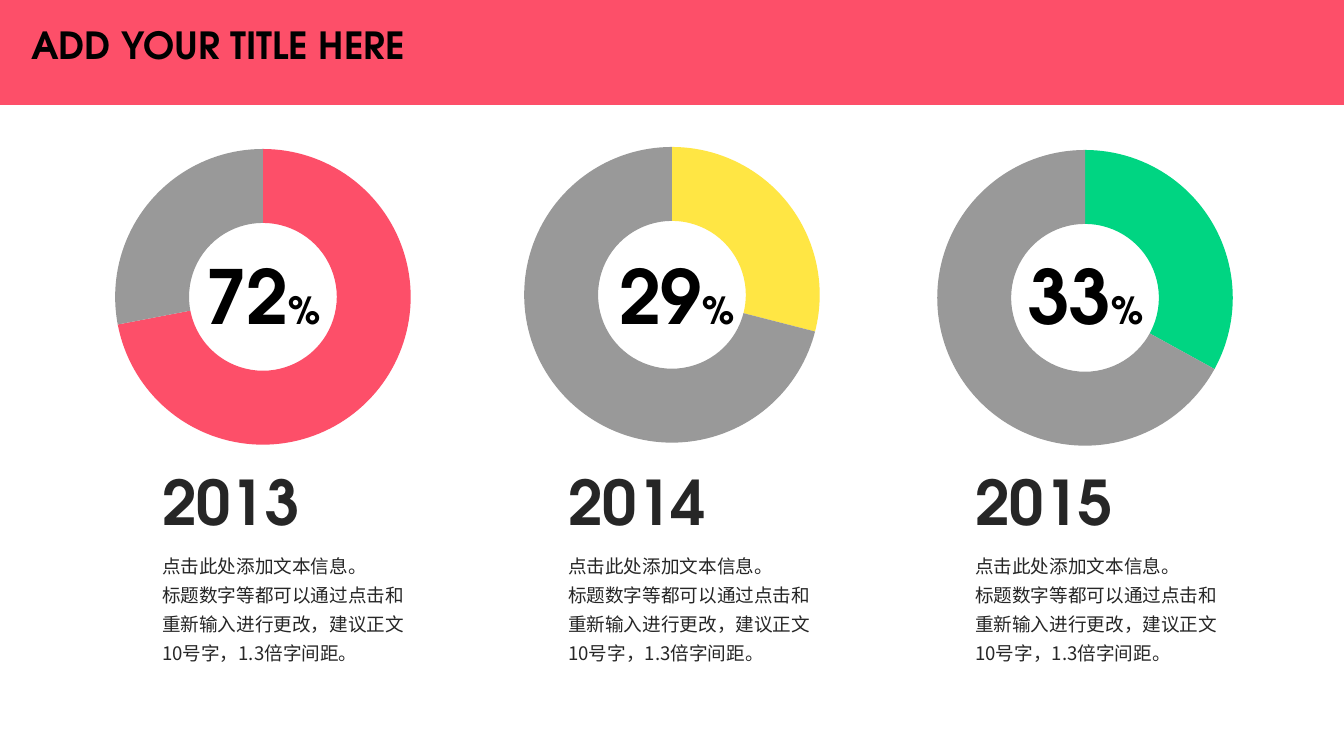
"""Builds a slide with three yearly doughnut charts under a title band."""
from lxml.etree import SubElement
from pptx import Presentation
from pptx.chart.data import CategoryChartData as ChartData
from pptx.dml.color import RGBColor as RGB
from pptx.enum.chart import XL_CHART_TYPE as CT
from pptx.enum.shapes import MSO_SHAPE as SHAPE
from pptx.enum.text import MSO_AUTO_SIZE as FIT, PP_ALIGN as AL
from pptx.oxml.ns import qn
from pptx.util import Emu, Pt

PX = 9144
COLORS = {"red": "FD4F69", "yellow": "FFE644", "green": "00D582",
          "gray": "999999", "black": "000000", "dark": "262626"}
HEAD, BODY = "TeX Gyre Adventor", "Noto Sans CJK SC"
NOTE = ["点击此处添加文本信息。",
        "标题数字等都可以通过点击和重新输入进行更改，建议正文10号字，1.3倍字间距。"]
YEARS = [("2013", 72, "red", (20, 134), 184, 151),
         ("2014", 29, "yellow", (426, 132), 595, 554),
         ("2015", 33, "green", (836, 135), 1001, 958)]


def color(name):
    return RGB.from_string(COLORS[name])


def add_run(p, text, size=13.3, font=HEAD, fill="black", bold=False):
    r = p.add_run()
    r.text = text
    f = r.font
    f.size, f.name, f.bold = Pt(size), font, bold
    f.color.rgb = color(fill)
    SubElement(f._element, qn("a:ea"), typeface=font)


class Deck:
    def __init__(self, w, h):
        self.prs = Presentation()
        self.prs.slide_width, self.prs.slide_height = Emu(w * PX), Emu(h * PX)
        self.s = self.prs.slides.add_slide(self.prs.slide_layouts[6])

    def box(self, *at):
        return [Emu(v * PX) for v in at]

    def band(self, *at, fill):
        sp = self.s.shapes.add_shape(SHAPE.RECTANGLE, *self.box(*at))
        sp.shadow.inherit = False
        sp.fill.solid()
        sp.fill.fore_color.rgb = color(fill)
        sp.line.fill.background()

    def text(self, paragraphs, *at, align=AL.LEFT, spacing=None, wrap=True, fit=FIT.SHAPE_TO_FIT_TEXT):
        tf = self.s.shapes.add_textbox(*self.box(*at)).text_frame
        tf.word_wrap, tf.auto_size = wrap, fit
        for i, runs in enumerate(paragraphs):
            p = tf.add_paragraph() if i else tf.paragraphs[0]
            p.alignment, p.line_spacing = align, spacing
            for text, style in runs:
                add_run(p, text, **style)

    def doughnut(self, value, fill, *at):
        data = ChartData()
        data.categories = ["1", "2"]
        data.add_series("Series 1", [value, 100 - value])
        chart = self.s.shapes.add_chart(CT.DOUGHNUT, *self.box(*at), data).chart
        chart.has_title = chart.has_legend = False
        chart.font.name, chart.font.size = HEAD, Pt(10)
        chart.font.color.rgb = color("black")
        plot = chart.plots[0]
        plot._element.find(qn("c:holeSize")).set("val", "75")
        for i, name in enumerate([fill, "gray"]):
            fmt = plot.series[0].points[i].format
            fmt.fill.solid()
            fmt.fill.fore_color.rgb = color(name)
            fmt.line.fill.background()


def main():
    d = Deck(1334, 750)
    d.band(0, 0, 1334, 104, fill="red")
    d.text([[("ADD YOUR TITLE HERE", {"size": 26.7, "bold": True})]],
           21, 22, 401, 59, spacing=0.9, fit=FIT.NONE)
    for year, value, fill, corner, value_x, text_x in YEARS:
        d.doughnut(value, fill, *corner, 482, 321)
        d.text([[(str(value), {"size": 53.3, "bold": True}),
                 ("%", {"size": 26.7, "bold": True})]],
               value_x, 243, 154, 100, align=AL.CENTER)
        d.text([[(line, {"font": BODY, "fill": "dark"})] for line in NOTE],
               text_x, 539, 271, 127, spacing=1.3)
        d.text([[(year, {"size": 44, "fill": "dark", "bold": True})]],
               text_x, 455, 158, 84, wrap=False)
    d.prs.save("out.pptx")


if __name__ == "__main__":
    main()
